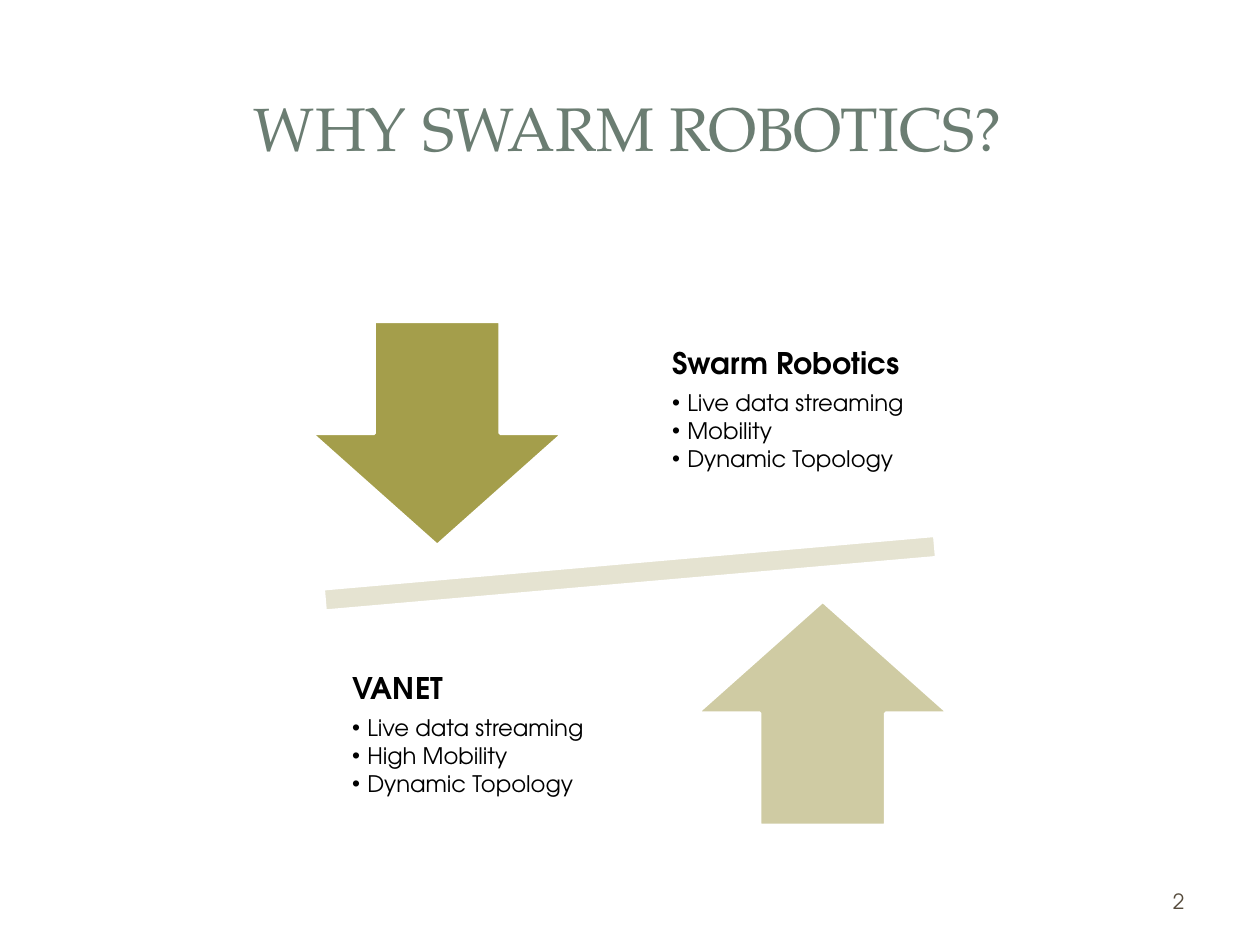
from lxml import etree
from pptx import Presentation
from pptx.dml.color import RGBColor
from pptx.enum import shapes, text
from pptx.oxml import ns
from pptx.util import Inches, Pt

WHITE = RGBColor(0xFF, 0xFF, 0xFF)
BLACK = RGBColor(0, 0, 0)
SAGE = RGBColor(0x6B, 0x7D, 0x72)
BROWN = RGBColor(0x56, 0x4B, 0x3C)
OLIVE = RGBColor(0xA4, 0x9E, 0x4B)
SAND = RGBColor(0xCF, 0xCB, 0xA3)
PALE = RGBColor(0xE5, 0xE3, 0xD1)
SERIF, SANS = "TeX Gyre Pagella", "TeX Gyre Adventor"

HEADLINE = "WHY SWARM ROBOTICS?"
PAGE = "2"
SIDES = [
    {
        "heading": "Swarm Robotics",
        "points": ["Live data streaming", "Mobility", "Dynamic Topology"],
        "arrow": shapes.MSO_SHAPE.DOWN_ARROW,
        "color": OLIVE,
        "sign": 1,
    },
    {
        "heading": "VANET",
        "points": ["Live data streaming", "High Mobility", "Dynamic Topology"],
        "arrow": shapes.MSO_SHAPE.UP_ARROW,
        "color": SAND,
        "sign": -1,
    },
]
PANELS = [
    (shapes.MSO_SHAPE.ROUNDED_RECTANGLE, (0.1, 0.11, 9.8, 7.29), [0.02], 100),
    (shapes.MSO_SHAPE.RECTANGLE, (0.3, 0.3, 9.4, 1.45), [], 83),
    (shapes.MSO_SHAPE.RECTANGLE, (0.41, 0.41, 9.17, 1.22), [], 100),
]

PIVOT = (5, 4.55)
BEAM_SIZE = (6.63, 0.76)
ARROW_SIZE, ARROW_OFFSET = (2, 1.78), (-1.53, -1.11)
LIST_SIZE, LIST_OFFSET = (2.13, 1.87), (1.27, -1.29)
HEADING = {"size": Pt(17), "bold": True, "name": SANS}
POINT = {"size": Pt(13), "bold": False, "name": SANS}


def apply(target, values):
    for key, value in values.items():
        setattr(target, key, value)


def inches(lengths):
    return [Inches(length) for length in lengths]


def around_pivot(size, offset=(0, 0), sign=1):
    corner = [p + sign * o - s / 2 for p, o, s in zip(PIVOT, offset, size)]
    return inches((*corner, *size))


def place(shape, box):
    apply(shape, dict(zip(("left", "top", "width", "height"), box)))


def draw(slide, kind, box, color, outline=Pt(2)):
    shape = slide.shapes.add_shape(kind, *box)
    shape.shadow.inherit = False
    shape.fill.solid()
    shape.fill.fore_color.rgb = color
    if outline:
        shape.line.color.rgb = WHITE
        shape.line.width = outline
    else:
        shape.line.fill.background()
    return shape


def add_panels(slide):
    for layer, (kind, box, rounding, opacity) in enumerate(PANELS):
        panel = draw(slide, kind, inches(box), WHITE, outline=None)
        for index, value in enumerate(rounding):
            panel.adjustments[index] = value
        if opacity < 100:
            tint = panel._element.spPr.find(".//" + ns.qn("a:srgbClr"))
            etree.SubElement(tint, ns.qn("a:alpha")).set("val", str(opacity * 1000))
        slide.shapes._spTree.insert(2 + layer, panel._element)


def write(paragraph, words, font, color, layout):
    run = paragraph.add_run()
    run.text = words
    apply(run.font, font)
    run.font.color.rgb = color
    apply(paragraph, layout)


def set_bullet(paragraph, char=None):
    props = paragraph._p.get_or_add_pPr()
    hang = Inches(0.12) if char else 0
    props.set("marL", str(hang))
    props.set("indent", str(-hang))
    bullet = etree.SubElement(props, ns.qn("a:buChar" if char else "a:buNone"))
    if char:
        bullet.set("char", char)


def fill_list(holder, side):
    frame = holder.text_frame
    margins = ("margin_left", "margin_top", "margin_right", "margin_bottom")
    apply(frame, dict.fromkeys(margins, Inches(0.13)))
    apply(frame, {
        "word_wrap": True,
        "auto_size": text.MSO_AUTO_SIZE.NONE,
        "vertical_anchor": text.MSO_ANCHOR.MIDDLE,
    })
    spacing = {"line_spacing": 0.9, "space_before": Pt(0)}
    heading = frame.paragraphs[0]
    write(heading, side["heading"], HEADING, BLACK, {**spacing, "space_after": Pt(6)})
    set_bullet(heading)
    for words in side["points"]:
        point = frame.add_paragraph()
        write(point, words, POINT, BLACK, {**spacing, "level": 1, "space_after": Pt(2)})
        set_bullet(point, "•")


def main():
    deck = Presentation()
    apply(deck, {"slide_width": Inches(10), "slide_height": Inches(7.5)})
    slide = deck.slides.add_slide(deck.slide_layouts[3])
    headline, *lists = slide.placeholders
    add_panels(slide)

    place(headline, inches((0.47, 0.44, 9.03, 1.14)))
    apply(headline.text_frame, {
        "vertical_anchor": text.MSO_ANCHOR.MIDDLE,
        "auto_size": text.MSO_AUTO_SIZE.NONE,
    })
    write(headline.text_frame.paragraphs[0], HEADLINE,
          {"size": Pt(35), "name": SERIF}, SAGE, {"alignment": text.PP_ALIGN.CENTER})

    beam = draw(slide, shapes.MSO_SHAPE.MATH_MINUS, around_pivot(BEAM_SIZE), PALE)
    beam.rotation = 355
    for side, holder in zip(SIDES, lists):
        draw(slide, side["arrow"], around_pivot(ARROW_SIZE, ARROW_OFFSET, side["sign"]), side["color"])
        place(holder, around_pivot(LIST_SIZE, LIST_OFFSET, side["sign"]))
        fill_list(holder, side)

    page = slide.shapes.add_textbox(*inches((7.17, 6.95, 2.33, 0.4))).text_frame
    apply(page, {"word_wrap": True, "vertical_anchor": text.MSO_ANCHOR.MIDDLE})
    write(page.paragraphs[0], PAGE, {"size": Pt(12), "name": SANS}, BROWN,
          {"alignment": text.PP_ALIGN.RIGHT})

    deck.save("out.pptx")


if __name__ == "__main__":
    main()
